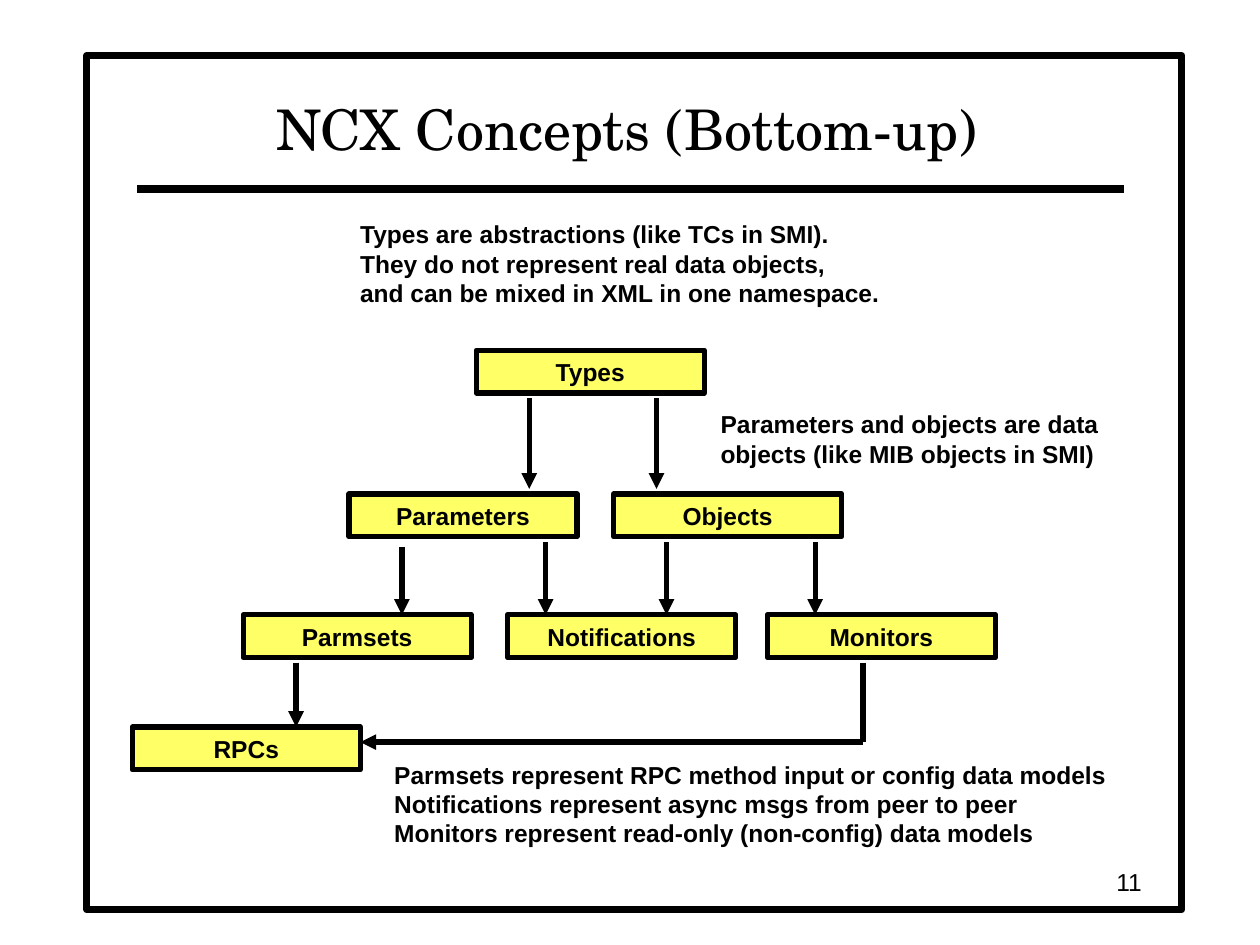
from lxml.etree import SubElement
from pptx import Presentation
from pptx.dml.color import RGBColor
from pptx.enum.shapes import MSO_CONNECTOR, MSO_SHAPE
from pptx.enum.text import MSO_ANCHOR, PP_ALIGN
from pptx.oxml.ns import qn
from pptx.util import Inches, Pt

BLACK = RGBColor(0x00, 0x00, 0x00)
WHITE = RGBColor(0xFF, 0xFF, 0xFF)
YELLOW = RGBColor(0xFF, 0xFF, 0x66)

COLUMNS, ROWS = 100, 75
BOX_WIDTH, BOX_HEIGHT = 18.1, 3.4


def write_text(frame, text, font="Arial", size=14, bold=False,
               align=PP_ALIGN.LEFT, anchor=MSO_ANCHOR.TOP, wrap=True):
    """Newlines part paragraphs; vertical tabs break lines inside one."""
    frame.word_wrap = wrap
    frame.vertical_anchor = anchor
    frame.text = text
    for para in frame.paragraphs:
        para.alignment = align
        para.font.name = font
        para.font.size = Pt(size)
        para.font.bold = bold
        para.font.color.rgb = BLACK


class Diagram:
    """Style and current page, on a grid of COLUMNS by ROWS."""

    def __init__(self, deck):
        self.page = deck.slides.add_slide(deck.slide_layouts[6])
        self.column = deck.slide_width / COLUMNS
        self.row = deck.slide_height / ROWS

    def place(self, x, y):
        return round(x * self.column), round(y * self.row)

    def rectangle(self, x, y, width, height, fill, weight):
        box = self.page.shapes.add_shape(
            MSO_SHAPE.RECTANGLE, *self.place(x, y), *self.place(width, height))
        box.shadow.inherit = False
        box.fill.solid()
        box.fill.fore_color.rgb = fill
        box.line.color.rgb = BLACK
        box.line.width = Pt(weight)
        return box

    def concept(self, name, x, y):
        box = self.rectangle(x, y, BOX_WIDTH, BOX_HEIGHT, YELLOW, 3)
        write_text(box.text_frame, name, bold=True, align=PP_ALIGN.CENTER,
                   anchor=MSO_ANCHOR.MIDDLE)

    def text(self, text, x, y, width, height, **style):
        box = self.page.shapes.add_textbox(
            *self.place(x, y), *self.place(width, height))
        write_text(box.text_frame, text, **style)

    def line(self, start, end, weight=3, arrow=True):
        line = self.page.shapes.add_connector(
            MSO_CONNECTOR.STRAIGHT, *self.place(*start), *self.place(*end))
        line.line.color.rgb = BLACK
        line.line.width = Pt(weight)
        if arrow:
            SubElement(line.line._get_or_add_ln(), qn("a:tailEnd"), type="triangle")
        SubElement(line._element.spPr, qn("a:effectLst"))


def main():
    deck = Presentation()
    deck.slide_width, deck.slide_height = Inches(10), Inches(7.5)
    diagram = Diagram(deck)

    diagram.rectangle(6.9, 4.4, 86.9, 67.8, WHITE, 4)
    diagram.line((10.9, 15), (89.2, 15), weight=4.5, arrow=False)
    diagram.text("NCX Concepts (Bottom-up)", 10.8, 5.8, 77.9, 7.5,
                 font="TeX Gyre Schola", size=32, align=PP_ALIGN.CENTER,
                 anchor=MSO_ANCHOR.BOTTOM)

    levels = [
        (27.8, {"Types": 37.8}),
        (39.2, {"Parameters": 27.7, "Objects": 48.7}),
        (48.8, {"Parmsets": 19.3, "Notifications": 40.3, "Monitors": 60.9}),
        (57.7, {"RPCs": 10.5}),
    ]
    for y, concepts in levels:
        for name, x in concepts.items():
            diagram.concept(name, x, y)

    arrows = [
        (42, 31.6, 38.8), (52.1, 31.6, 38.8),
        (31.9, 43.4, 48.8), (43.3, 43, 48.8), (52.9, 43, 48.8), (64.7, 43, 48.8),
        (23.5, 52.6, 57.7),
    ]
    for x, top, bottom in arrows:
        diagram.line((x, top), (x, bottom))
    corner = (68.5, 58.9)
    diagram.line((68.5, 52.6), corner, arrow=False)
    diagram.line(corner, (28.6, 58.9))

    diagram.text("Types are abstractions (like TCs in SMI).\v"
                 "They do not represent real data objects,\n"
                 "and can be mixed in XML in one namespace.",
                 27.6, 16.9, 43.3, 8, bold=True, wrap=False)
    diagram.text("Parameters and objects are data\v"
                 "objects (like MIB objects in SMI)",
                 56.2, 32, 32.5, 5.7, bold=True, wrap=False)
    diagram.text("Parmsets represent RPC method input or config data models\v"
                 "Notifications represent async msgs from peer to peer\n"
                 "Monitors represent read-only (non-config) data models",
                 30.3, 59.8, 60.1, 8, bold=True)
    diagram.text("11", 70.8, 68.3, 20.8, 3.3, align=PP_ALIGN.RIGHT,
                 anchor=MSO_ANCHOR.MIDDLE)

    deck.save("out.pptx")


if __name__ == "__main__":
    main()
